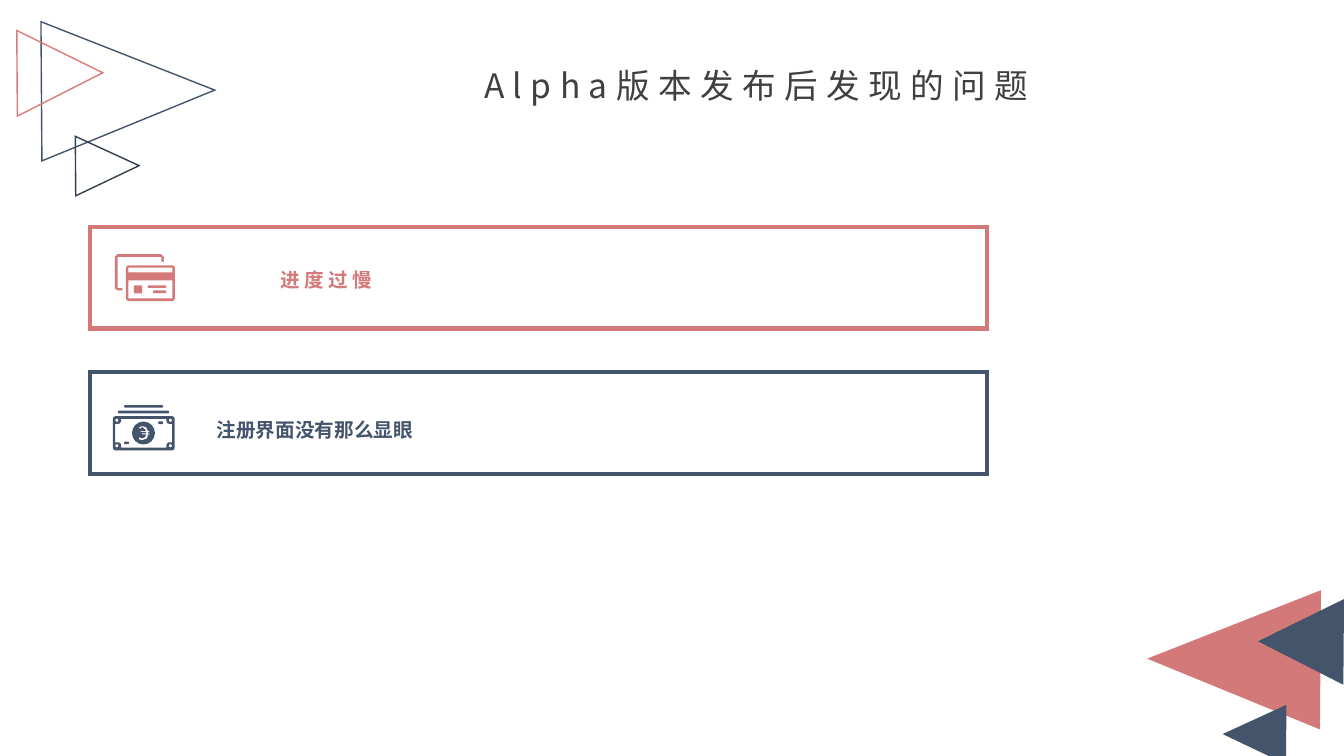
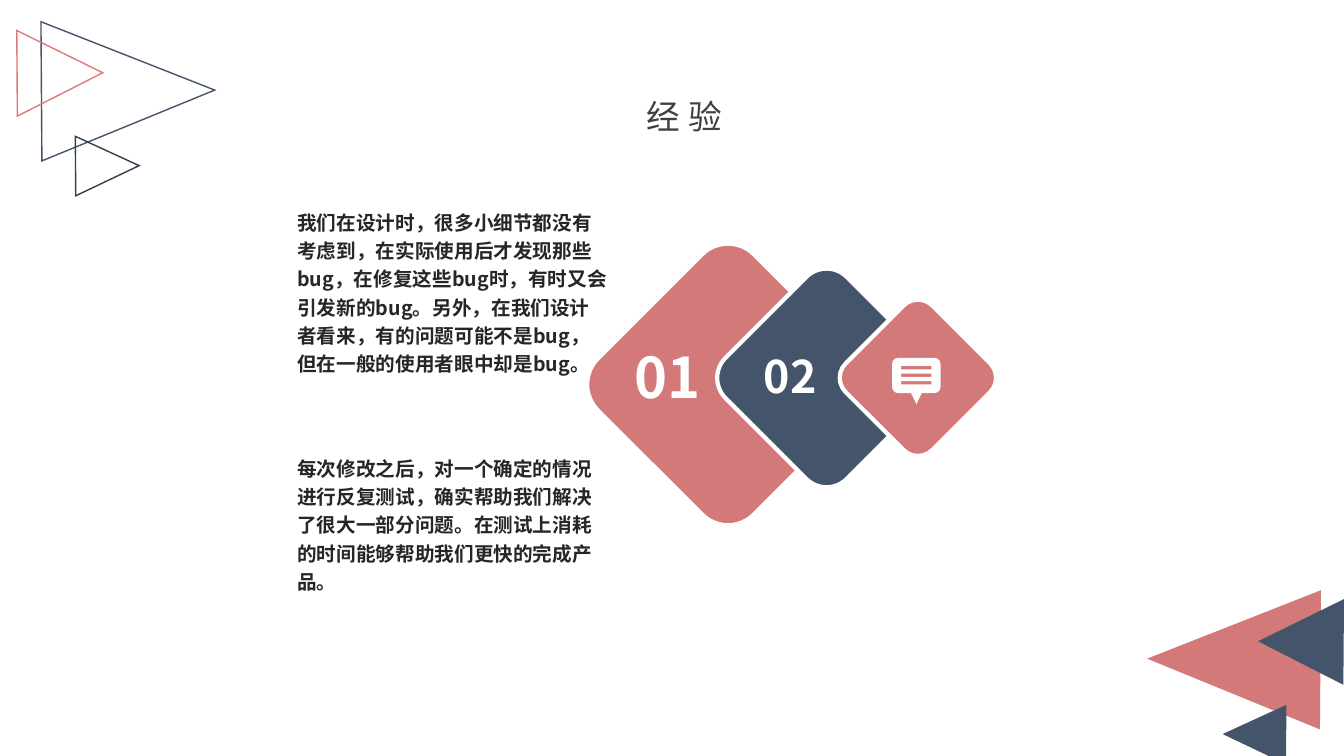
from math import cos, pi, sin

from lxml.etree import SubElement
from pptx import Presentation
from pptx.dml.color import RGBColor
from pptx.enum.shapes import MSO_SHAPE
from pptx.enum.text import MSO_ANCHOR, MSO_AUTO_SIZE, PP_ALIGN
from pptx.oxml.ns import qn
from pptx.util import Pt

FONT = "Noto Sans CJK SC"
RED, NAVY, WHITE, BUBBLE = "D37979", "44546A", "FFFFFF", "FEFEFE"
TITLE_INK, BODY_INK = "404040", "262626"

CORNER_TRIANGLES = [
    ((831.6, 409, 99.4, 123.8), 270.4, RED, None),
    ((874.8, 501.8, 42.5, 45.4), 270.4, NAVY, None),
    ((898.6, 427.7, 61.2, 61.2), 270.4, NAVY, None),
    ((41.8, 2.9, 99.4, 123.8), 89.6, None, NAVY),
    ((55.4, 95.8, 42.5, 45.4), 89.6, None, "333F50"),
    ((12.2, 21.6, 61.2, 61.2), 89.6, None, "DD7979"),
]

BACK_CARD = [(0, 2), (2, 0), (33, 0), (35, 2), (35, 5), (34.1, 5.8), (33.2, 5), (33.2, 2),
             (2, 2), (2, 24.4), (5, 24.4), (5.8, 25.2), (5, 26), (2, 26), (0, 24.5)]
NOTE_INSIDE = [(6, 10), (38.2, 10), (38.4, 12), (39.4, 13.3), (42.4, 13.6), (42.4, 26.6),
               (39.4, 26.8), (38.4, 28), (38.2, 30.4), (6, 30.4), (5.8, 28), (4.8, 26.8),
               (1.6, 26.6), (1.6, 13.6), (4.8, 13.3), (5.8, 12)]
COIN_SIGN = [(19.4, 18.7), (20.2, 19.4), (23.8, 19.4), (23.8, 20.2), (20.2, 20.2),
             (20.9, 20.9), (23.8, 20.9), (23, 23), (20.9, 23.8), (18.7, 23), (18.7, 24.5),
             (20.9, 25.2), (24.5, 23.8), (25.2, 20.9), (26.6, 20.9), (25.9, 20.2),
             (25.2, 20.2), (25.2, 19.4), (26.6, 19.4), (25.9, 18.7), (25.2, 18.7),
             (23.8, 15.8), (20.9, 15.1), (18.7, 15.8), (19.4, 17.3), (20.9, 15.8),
             (23, 17.3), (23.8, 18.7)]


def rgb(code):
    """Turn a hex string into a colour."""
    return RGBColor.from_string(code)


def paint(shape, fill=None, line=None, width=1):
    """Set fill and line of a shape and drop its shadow."""
    shape.shadow.inherit = False
    if fill:
        shape.fill.solid()
        shape.fill.fore_color.rgb = rgb(fill)
    else:
        shape.fill.background()
    if line:
        shape.line.color.rgb = rgb(line)
        shape.line.width = Pt(width)
        SubElement(shape.element.spPr.get_or_add_ln(), qn("a:miter")).set("lim", "800000")
    else:
        shape.line.fill.background()


def add_preset(page, kind, box, fill=None, line=None, width=1, rotation=0):
    """Add a preset shape in a box given in points."""
    shape = page.shapes.add_shape(kind, *map(Pt, box))
    shape.rotation = rotation
    paint(shape, fill, line, width)
    return shape


def rounded(left, top, width, height, radius, steps=2):
    """List the points of a rectangle with rounded corners."""
    right, bottom = left + width - radius, top + height - radius
    centres = [(right, bottom), (left + radius, bottom),
               (left + radius, top + radius), (right, top + radius)]
    return [(x + radius * cos(angle), y + radius * sin(angle))
            for corner, (x, y) in enumerate(centres)
            for angle in ((corner + step / steps) * pi / 2 for step in range(steps + 1))]


def rectangle(left, top, width, height):
    """List the corners of a rectangle."""
    return [(left, top), (left + width, top), (left + width, top + height), (left, top + height)]


def circle(x, y, radius, steps=2):
    """List the points of a circle around a centre."""
    return rounded(x - radius, y - radius, 2 * radius, 2 * radius, radius, steps)


def add_icon(page, left, top, contours, color):
    """Add one filled shape whose inner contours are holes."""
    placed = [[(Pt(left + x), Pt(top + y)) for x, y in points] for points in contours]
    builder = page.shapes.build_freeform(*placed[0][0], scale=1.0)
    for number, points in enumerate(placed):
        if number:
            builder.move_to(*points[0])
        builder.add_line_segments(points[1:], close=True)
    paint(builder.convert_to_shape(), color)


def write(box, text, size, color, bold=False, align=PP_ALIGN.LEFT,
          anchor=MSO_ANCHOR.TOP, tracking=0, leading=None):
    """Fill a text holder with one formatted paragraph."""
    frame = box.text_frame
    frame.text = text
    frame.word_wrap = True
    frame.auto_size = MSO_AUTO_SIZE.NONE
    frame.vertical_anchor = anchor
    frame.margin_left = frame.margin_right = frame.margin_top = frame.margin_bottom = 0
    para = frame.paragraphs[0]
    para.alignment = align
    para.line_spacing = leading
    font = para.font
    font.size, font.bold, font.name = Pt(size), bold, FONT
    font.color.rgb = rgb(color)
    properties = para._p.pPr.defRPr
    if tracking:
        properties.set("spc", str(tracking * 100))
    SubElement(properties, qn("a:ea")).set("typeface", FONT)


def add_label(page, box, text, size, color, **style):
    """Add a bold text box."""
    write(page.shapes.add_textbox(*map(Pt, box)), text, size, color, bold=True, **style)


def add_page(deck, title, left, top):
    """Add a title-only page with its title set."""
    page = deck.slides.add_slide(deck.slide_layouts[5])
    box = page.shapes.title
    box.left, box.top, box.width, box.height = map(Pt, (left, top, 421.2, 28.8))
    write(box, title, 24, TITLE_INK, align=PP_ALIGN.CENTER,
          anchor=MSO_ANCHOR.MIDDLE, tracking=6)
    return page


def decorate_layout(page):
    """Draw the corner triangles and hand them to the layout of the page."""
    tree = page.slide_layout.shapes.element
    for number, (box, rotation, fill, line) in enumerate(CORNER_TRIANGLES, 20):
        triangle = add_preset(page, MSO_SHAPE.ISOSCELES_TRIANGLE, box, fill, line, 1, rotation)
        triangle.element.nvSpPr.cNvPr.set("id", str(number))
        tree.append(triangle.element)


def draw_cards(page, left, top, color):
    """Draw two bank cards, one behind the other."""
    add_icon(page, left, top, [
        BACK_CARD,
        rounded(8, 8, 35, 25.6, 2),
        rectangle(9.8, 9.7, 31.4, 3.3),
        rectangle(9.8, 18.7, 31.4, 13),
        rounded(13.7, 22.3, 5.8, 5.8, 0.7),
        rounded(23.4, 22.3, 13.4, 1.9, 0.9),
        rounded(27.2, 26, 9.6, 1.9, 0.9),
    ], color)


def draw_banknotes(page, left, top, color):
    """Draw a stack of banknotes."""
    add_icon(page, left, top, [
        rounded(8, 0, 28, 1.9, 0.9),
        rounded(3.6, 4, 36.7, 1.9, 0.9),
        rounded(0, 8, 44.2, 24.4, 1.8),
        NOTE_INSIDE,
        *(circle(x, y, 1.2) for x in (2.9, 41.1) for y in (10.9, 29.1)),
        circle(21.9, 20, 8.2, 4),
        COIN_SIGN,
        rounded(32.4, 11.7, 3.6, 1.9, 0.9),
        rounded(8, 26.1, 3.6, 1.9, 0.9),
    ], color)


def draw_speech(page, left, top):
    """Draw a white speech bubble with three lines of text."""
    add_icon(page, left, top, [[(12.9, 23.8), (21.9, 23.8), (17.4, 33)]], BUBBLE)
    lines = [rectangle(6.5, 5.8 + 5.4 * row, 21.6, 2.4) for row in range(3)]
    add_icon(page, left, top, [rounded(0, 0, 34.6, 25.2, 4.3, 3), *lines], BUBBLE)


def add_problem(page, top, color, text, label_offset, tracking, draw_icon, icon_offset):
    """Add a framed problem with an icon and a label."""
    left = 64
    add_preset(page, MSO_SHAPE.RECTANGLE, (left, top, 641, 72.7), None, color, 3)
    x, y = label_offset
    add_label(page, (left + x, top + y, 192, 33), text, 14, color, align=PP_ALIGN.CENTER,
              anchor=MSO_ANCHOR.MIDDLE, tracking=tracking)
    x, y = icon_offset
    draw_icon(page, left + x, top + y, color)


def add_diamond(page, left, top, side, color):
    """Add a rounded square standing on its corner."""
    add_preset(page, MSO_SHAPE.ROUNDED_RECTANGLE, (left, top, side, side), color, WHITE, 3, 45)


def build_problems(page):
    """Fill the page of problems."""
    add_problem(page, 162, RED, "进度过慢", (73, 21), 3, draw_cards, (18, 19.5))
    add_problem(page, 265.7, NAVY, "注册界面没有那么显眼", (65, 24.5), 0,
                draw_banknotes, (16.6, 23.6))


def build_lessons(page):
    """Fill the page of lessons learned."""
    add_diamond(page, 441.2, 195.8, 157.6, RED)
    add_diamond(page, 529.2, 208.8, 122.4, NAVY)
    add_diamond(page, 611.9, 226.1, 87.5, RED)
    draw_speech(page, 637.2, 255.6)
    for box, number, size in (((453, 241.2, 62, 55.4), "01", 40),
                              ((545.5, 245.6, 54, 46), "02", 32)):
        add_label(page, box, number, size, WHITE, anchor=MSO_ANCHOR.MIDDLE)
    for top, height, text in (
        (147.3, 142, "我们在设计时，很多小细节都没有考虑到，在实际使用后才发现那些bug，在修复这些bug时，"
                     "有时又会引发新的bug。另外，在我们设计者看来，有的问题可能不是bug，"
                     "但在一般的使用者眼中却是bug。"),
        (323, 102, "每次修改之后，对一个确定的情况进行反复测试，确实帮助我们解决了很大一部分问题。"
                   "在测试上消耗的时间能够帮助我们更快的完成产品。"),
    ):
        add_label(page, (212.4, top, 222.5, height), text, 14, BODY_INK, leading=1.2)


def main():
    """Build and save the deck."""
    deck = Presentation()
    deck.slide_width, deck.slide_height = Pt(960), Pt(540)
    problems = add_page(deck, "Alpha版本发布后发现的问题", 329.5, 46)
    decorate_layout(problems)
    build_problems(problems)
    build_lessons(add_page(deck, "经验", 278, 68.4))
    deck.save("out.pptx")


if __name__ == "__main__":
    main()
